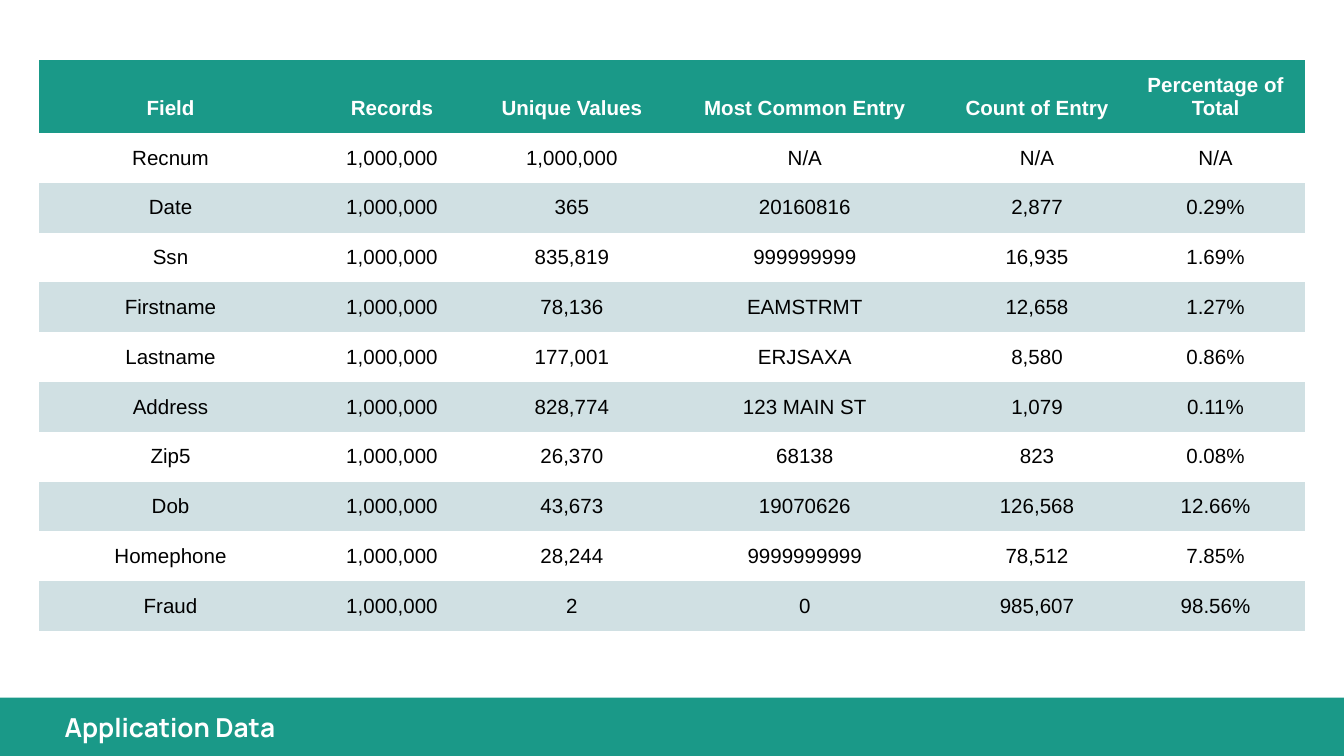
from pptx import Presentation
from pptx.dml.color import RGBColor
from pptx.enum.shapes import MSO_SHAPE as Shape
from pptx.enum.text import MSO_ANCHOR as Anchor, MSO_AUTO_SIZE as Fit, PP_ALIGN as Align
from pptx.oxml.ns import qn
from pptx.util import Inches, Pt

WIDE = 10
HIGH = WIDE * 9 / 16
TEAL, PALE, WHITE, BLACK = "1A9988", "D0E0E3", "FFFFFF", "000000"
PLAIN = "{2D5ABB26-0587-4C30-8999-92F81FD0307C}"
WIDTHS = [1.96, 1.34, 1.34, 2.13, 1.33, 1.33]
HEAD = ["Field", "Records", "Unique Values", "Most Common Entry",
        "Count of Entry", "Percentage of Total"]
COUNT = "1,000,000"
FIELDS = [
    ("Recnum", "1,000,000", "N/A", "N/A", "N/A"),
    ("Date", "365", "20160816", "2,877", "0.29%"),
    ("Ssn", "835,819", "999999999", "16,935", "1.69%"),
    ("Firstname", "78,136", "EAMSTRMT", "12,658", "1.27%"),
    ("Lastname", "177,001", "ERJSAXA", "8,580", "0.86%"),
    ("Address", "828,774", "123 MAIN ST", "1,079", "0.11%"),
    ("Zip5", "26,370", "68138", "823", "0.08%"),
    ("Dob", "43,673", "19070626", "126,568", "12.66%"),
    ("Homephone", "28,244", "9999999999", "78,512", "7.85%"),
    ("Fraud", "2", "0", "985,607", "98.56%"),
]


def paint(fill, color):
    if color is None:
        fill.background()
    else:
        fill.solid()
        fill.fore_color.rgb = RGBColor.from_string(color)


def write(frame, text, size=11, font="Arial", color=BLACK, bold=False, align=Align.CENTER):
    para = frame.paragraphs[0]
    para.alignment = align
    run = para.add_run()
    run.text = text
    run.font.size, run.font.name, run.font.bold = Pt(size), font, bold
    run.font.color.rgb = RGBColor.from_string(color)


def pad(box, x, y):
    box.margin_left = box.margin_right = Inches(x)
    box.margin_top = box.margin_bottom = Inches(y)


def add_footer(slide, text, left, top, width, height):
    bar = slide.shapes.add_shape(Shape.RECTANGLE, Inches(left), Inches(top),
                                 Inches(width), Inches(height))
    bar.shadow.inherit = False
    paint(bar.fill, TEAL)
    bar.line.fill.background()

    title = slide.shapes.title
    title.element.addprevious(bar.element)
    title.left, title.top = Inches(left + 0.38), Inches(top)
    title.width, title.height = Inches(3.73), Inches(height)
    frame = title.text_frame
    frame.word_wrap, frame.auto_size = True, Fit.NONE
    frame.vertical_anchor = Anchor.BOTTOM
    pad(frame, 0.1, 0.1)
    write(frame, text, size=14, font="Manrope", color=WHITE, bold=True, align=Align.LEFT)


def add_grid(slide, left, top, width, height, first=0.54):
    rows = [HEAD] + [(name, COUNT, *rest) for name, *rest in FIELDS]
    frame = slide.shapes.add_table(len(rows), len(HEAD), Inches(left), Inches(top),
                                   Inches(width), Inches(height))
    frame.element.find(".//" + qn("a:tableStyleId")).text = PLAIN
    table = frame.table
    table.horz_banding = False
    for col, share in zip(table.columns, WIDTHS):
        col.width = Inches(width * share / sum(WIDTHS))
    step = (height - first) / len(FIELDS)
    for r, row in enumerate(rows):
        head = r == 0
        table.rows[r].height = Inches(first if head else step)
        fill = TEAL if head else PALE if r % 2 == 0 else None
        for c, text in enumerate(row):
            cell = table.cell(r, c)
            pad(cell, 0.07, 0.1)
            cell.vertical_anchor = Anchor.BOTTOM if head else Anchor.TOP
            paint(cell.fill, fill)
            write(cell.text_frame, text, color=WHITE if head else BLACK, bold=head)


def main():
    deck = Presentation()
    deck.slide_width, deck.slide_height = Inches(WIDE), Inches(HIGH)
    slide = deck.slides.add_slide(deck.slide_layouts[5])
    add_footer(slide, "Application Data", 0, 5.19, WIDE, HIGH - 5.19)
    add_grid(slide, 0.29, 0.45, 9.42, 4.24)
    deck.save("out.pptx")


if __name__ == "__main__":
    main()
